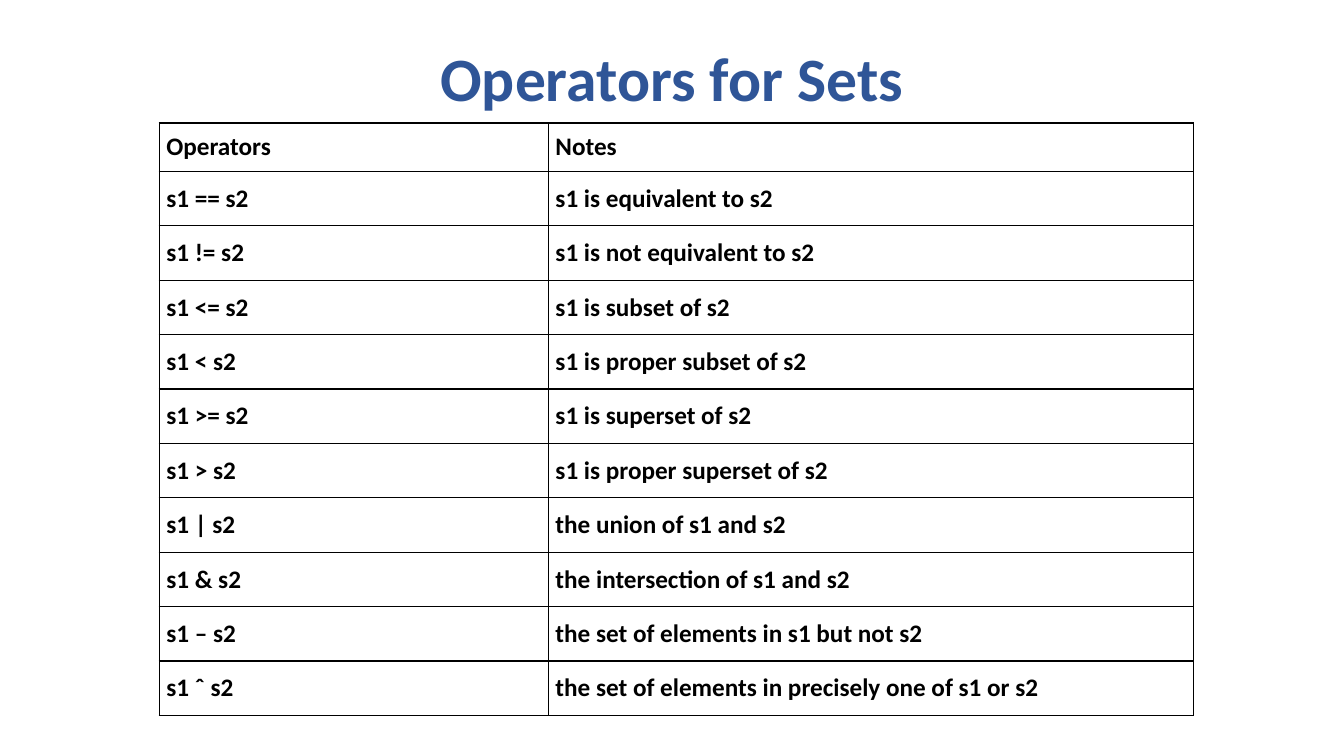
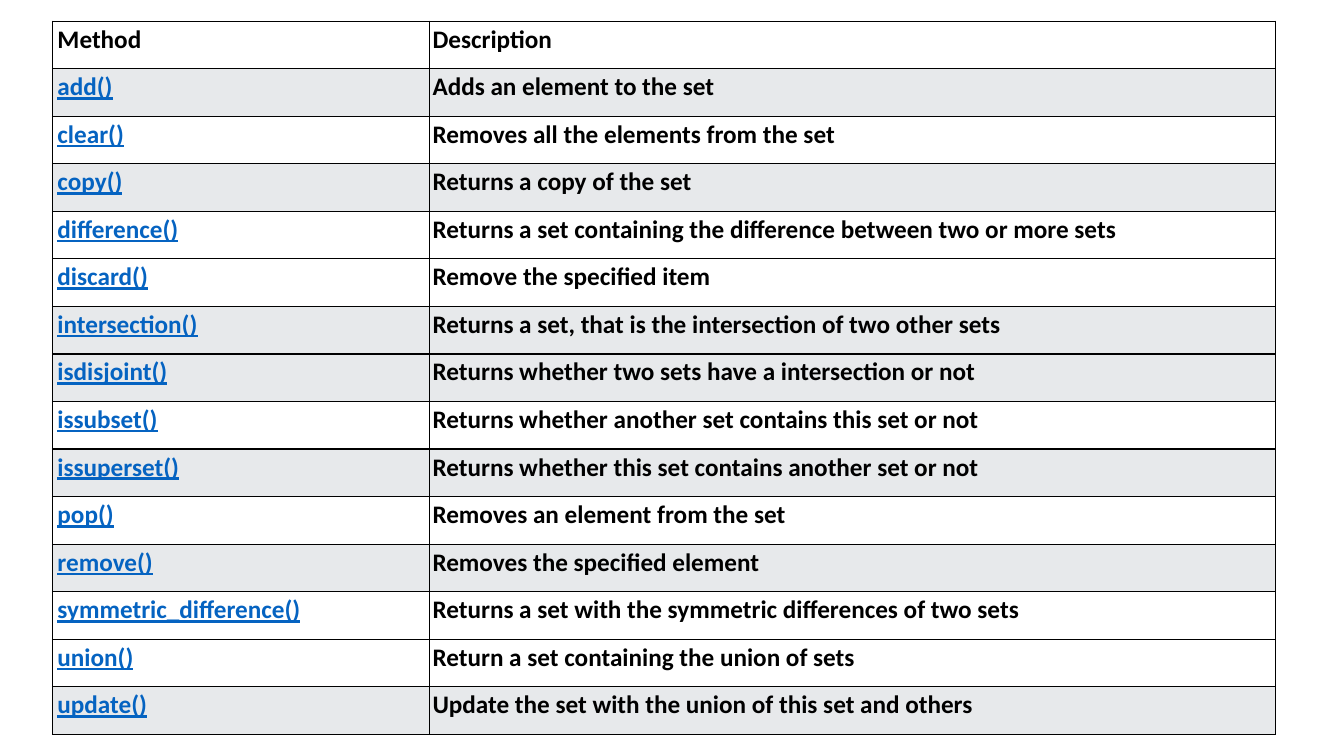
from lxml.etree import SubElement
from pptx import Presentation
from pptx.dml.color import RGBColor
from pptx.enum.text import MSO_ANCHOR as Anchor, PP_ALIGN as Align
from pptx.oxml.ns import qn
from pptx.util import Emu, Inches, Pt

WIDTH, HEIGHT = 13.33, 7.5
FONT = "Calibri"
BLACK, WHITE, GREY = "000000", "FFFFFF", "E7E9EB"
TITLE_BLUE, METHOD_BLUE = "2F5597", "0563C1"
BODY = dict(name=FONT, size=Pt(18), bold=True)
TITLE = dict(name=FONT, size=Pt(44), bold=True)
METHOD = dict(BODY, underline=True)

OPERATORS = [
    ("Operators", "Notes"),
    ("s1 == s2", "s1 is equivalent to s2"),
    ("s1 != s2", "s1 is not equivalent to s2"),
    ("s1 <= s2", "s1 is subset of s2"),
    ("s1 < s2", "s1 is proper subset of s2"),
    ("s1 >= s2", "s1 is superset of s2"),
    ("s1 > s2", "s1 is proper superset of s2"),
    ("s1 | s2", "the union of s1 and s2"),
    ("s1 & s2", "the intersection of s1 and s2"),
    ("s1 – s2", "the set of elements in s1 but not s2"),
    ("s1 ˆ s2", "the set of elements in precisely one of s1 or s2"),
]
METHODS = [
    ("Method", "Description"),
    ("add()", "Adds an element to the set"),
    ("clear()", "Removes all the elements from the set"),
    ("copy()", "Returns a copy of the set"),
    ("difference()", "Returns a set containing the difference between two or more sets"),
    ("discard()", "Remove the specified item"),
    ("intersection()", "Returns a set, that is the intersection of two other sets"),
    ("isdisjoint()", "Returns whether two sets have a intersection or not"),
    ("issubset()", "Returns whether another set contains this set or not"),
    ("issuperset()", "Returns whether this set contains another set or not"),
    ("pop()", "Removes an element from the set"),
    ("remove()", "Removes the specified element"),
    ("symmetric_difference()", "Returns a set with the symmetric differences of two sets"),
    ("union()", "Return a set containing the union of sets"),
    ("update()", "Update the set with the union of this set and others"),
]
SHADED = {"add()", "copy()", "intersection()", "isdisjoint()", "issuperset()",
          "remove()", "update()"}


def rgb(color):
    return RGBColor.from_string(color)


def set_attrs(obj, values):
    for name, value in values.items():
        setattr(obj, name, value)


def add_run(p, text, color, font):
    r = p.add_run()
    r.text = text
    set_attrs(r.font, font)
    r.font.color.rgb = rgb(color)


def add_slide(prs):
    return prs.slides.add_slide(prs.slide_layouts[6])


def add_title(s, text):
    margin = 0.07 * WIDTH
    box = s.shapes.add_textbox(Inches(margin), Inches(0.4),
                               Inches(WIDTH - 2 * margin), Inches(0.82))
    tf = box.text_frame
    set_attrs(tf, dict(word_wrap=True, vertical_anchor=Anchor.MIDDLE))
    p = tf.paragraphs[0]
    set_attrs(p, dict(alignment=Align.CENTER, line_spacing=0.9))
    add_run(p, text, TITLE_BLUE, TITLE)


def set_borders(cell, color=BLACK, width=Pt(1)):
    """Rule all four sides; call before the fill, which must follow the lines."""
    tc_pr = cell._tc.get_or_add_tcPr()
    for side in ("lnL", "lnR", "lnT", "lnB"):
        ln = SubElement(tc_pr, qn(f"a:{side}"), w=str(width))
        fill = SubElement(ln, qn("a:solidFill"))
        SubElement(fill, qn("a:srgbClr"), val=color)


def set_cell(cell, text, margins, anchor, fill=None, color=BLACK, font=BODY):
    """Fill one cell; margins are left, top, right, bottom in inches."""
    sides = ("margin_left", "margin_top", "margin_right", "margin_bottom")
    set_attrs(cell, dict(zip(sides, map(Inches, margins))))
    cell.vertical_anchor = anchor
    set_borders(cell)
    if fill:
        cell.fill.solid()
        cell.fill.fore_color.rgb = rgb(fill)
    else:
        cell.fill.background()
    add_run(cell.text_frame.paragraphs[0], text, color, font)


def add_grid(s, left, top, widths, heights, rows, cell_style):
    """Add a table; cell_style(row, column) gives the set_cell arguments."""
    frame = s.shapes.add_table(len(rows), len(widths), Inches(left), Inches(top),
                               Inches(sum(widths)), Inches(sum(heights)))
    table = frame.table
    set_attrs(table, dict(first_row=False, horz_banding=False))
    for column, width in zip(table.columns, widths):
        column.width = Inches(width)
    for row, height in zip(table.rows, heights):
        row.height = Emu(Inches(height))
    for i, texts in enumerate(rows):
        for j, text in enumerate(texts):
            set_cell(table.cell(i, j), text, **cell_style(i, j))


def operator_style(i, j):
    pad = 0.1 if i else 0.07
    return dict(margins=(0.07, pad, 0.07, pad), anchor=Anchor.MIDDLE)


def method_style(i, j):
    style = dict(margins=(0.03 if j else 0.05, 0.03, 0.03, 0.03), anchor=Anchor.TOP,
                 fill=GREY if METHODS[i][0] in SHADED else WHITE)
    if i and j == 0:
        style.update(color=METHOD_BLUE, font=METHOD)
    return style


def main():
    prs = Presentation()
    set_attrs(prs, dict(slide_width=Inches(WIDTH), slide_height=Inches(HEIGHT)))

    s = add_slide(prs)
    add_title(s, "Operators for Sets")
    heights = [0.48] + [0.54] * (len(OPERATORS) - 1)
    add_grid(s, 1.58, 1.22, (3.86, 6.4), heights, OPERATORS, operator_style)

    s = add_slide(prs)
    heights = [7.08 / len(METHODS)] * len(METHODS)
    add_grid(s, 0.52, 0.21, (3.74, 8.39), heights, METHODS, method_style)

    prs.save("out.pptx")


if __name__ == "__main__":
    main()
